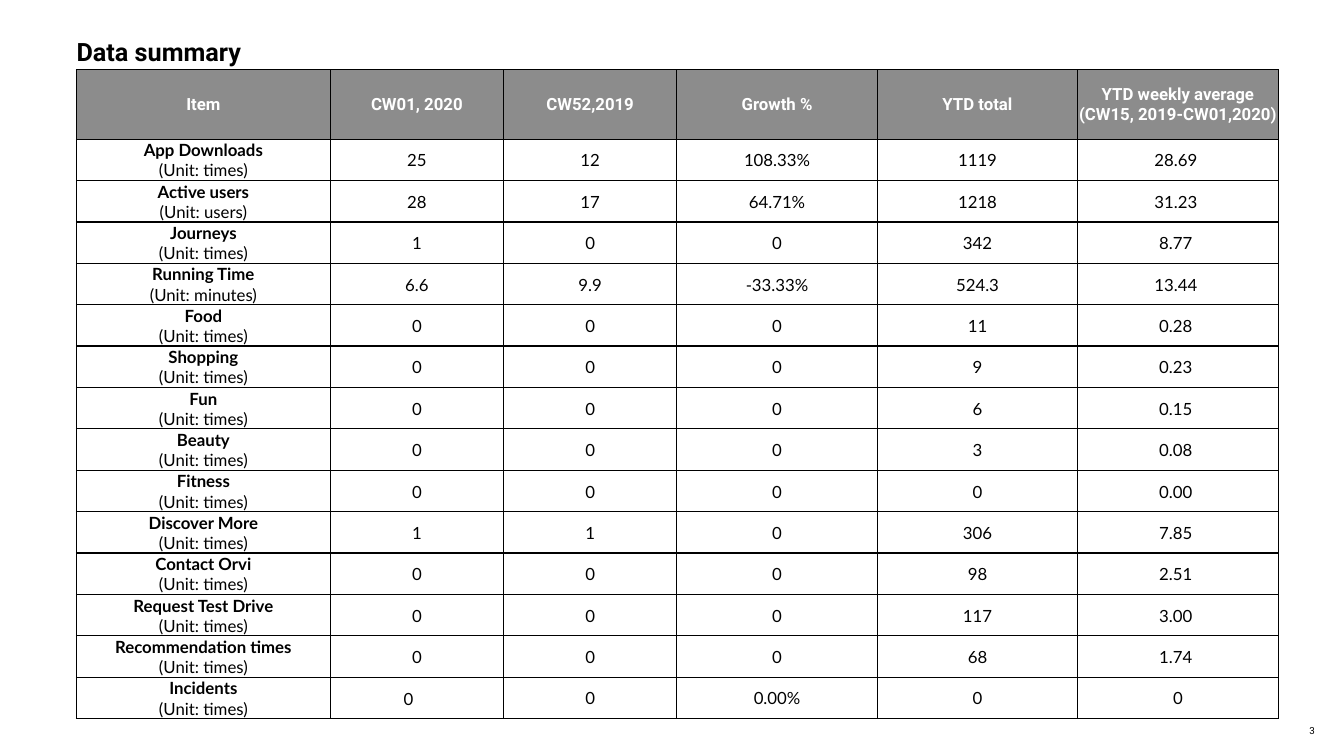
from dataclasses import dataclass

import pptx
import pptx.dml.color
import pptx.enum.text
import pptx.oxml
import pptx.oxml.ns
import pptx.slide
import pptx.table
import pptx.text.text
import pptx.util

Pt = pptx.util.Pt
RGB = pptx.dml.color.RGBColor
MIDDLE = pptx.enum.text.MSO_ANCHOR.MIDDLE
TOP = pptx.enum.text.MSO_ANCHOR.TOP
CENTER = pptx.enum.text.PP_ALIGN.CENTER


@dataclass(frozen=True)
class Theme:
    ink: str = "000000"
    paper: str = "FFFFFF"
    header_fill: str = "8C8C8C"
    heading_font: str = "Roboto"
    body_font: str = "Lato"
    title_size: float = 18
    table_size: float = 12
    page_size: float = 7
    border: float = 1


@dataclass(frozen=True)
class Metric:
    item: str
    values: tuple[str, ...]
    unit: str = "times"


@dataclass(frozen=True)
class Label:
    text: str
    left: float
    top: float
    width: float
    height: float
    size: float
    bold: bool = False
    anchor: pptx.enum.text.MSO_ANCHOR = TOP
    line_spacing: float = 1.0


THEME = Theme()

LABELS = (
    Label("3", 935.3, 515.5, 25.2, 12.2, THEME.page_size, anchor=MIDDLE),
    Label("Data summary", 54.7, 23.8, 892.8, 48.2, THEME.title_size,
          bold=True, line_spacing=1.1),
)

HEADINGS = ("Item", "CW01, 2020", "CW52,2019", "Growth %", "YTD total",
            "YTD weekly average\n(CW15, 2019-CW01,2020)")
METRICS = (
    Metric("App Downloads", ("25", "12", "108.33%", "1119", "28.69 ")),
    Metric("Active users", ("28", "17", "64.71%", "1218", "31.23 "), "users"),
    Metric("Journeys", ("1", "0", "0", "342", "8.77 ")),
    Metric("Running Time", ("6.6", "9.9", "-33.33%", "524.3", "13.44 "), "minutes"),
    Metric("Food", ("0", "0", "0", "11", "0.28 ")),
    Metric("Shopping", ("0", "0", "0", "9", "0.23 ")),
    Metric("Fun", ("0", "0", "0", "6", "0.15 ")),
    Metric("Beauty", ("0", "0", "0", "3", "0.08 ")),
    Metric("Fitness", ("0", "0", "0", "0", "0.00 ")),
    Metric("Discover More", ("1", "1", "0", "306", "7.85 ")),
    Metric("Contact Orvi", ("0", "0", "0", "98", "2.51 ")),
    Metric("Request Test Drive", ("0", "0", "0", "117", "3.00 ")),
    Metric("Recommendation times", ("0", "0", "0", "68", "1.74 ")),
    Metric("Incidents", ("0\u3000", "0", "0.00%", "0", "0")),
)

TABLE_LEFT, TABLE_TOP = 54.7, 49.9
COLUMN_WIDTHS = (181.2, 123.8, 123.8, 143.2, 143.2, 143.2)
HEADER_HEIGHT, METRIC_HEIGHT = 49.5, 29.57
CELL_INSET = 0.7


def style_paragraph(paragraph: pptx.text.text._Paragraph, font_name: str,
                    size: float, color: str, bold: bool) -> None:
    for run in paragraph.runs:
        run.font.name = font_name
        run.font.size = Pt(size)
        run.font.bold = bold
        run.font.color.rgb = RGB.from_string(color)


def add_label(slide: pptx.slide.Slide, label: Label) -> None:
    frame = slide.shapes.add_textbox(Pt(label.left), Pt(label.top), Pt(label.width),
                                     Pt(label.height)).text_frame
    frame.word_wrap = True
    frame.vertical_anchor = label.anchor
    frame.margin_left = frame.margin_right = frame.margin_top = frame.margin_bottom = 0
    frame.text = label.text
    frame.paragraphs[0].line_spacing = label.line_spacing
    style_paragraph(frame.paragraphs[0], THEME.heading_font, label.size,
                    THEME.ink, label.bold)


def add_borders(cell: pptx.table._Cell) -> None:
    properties = cell._tc.get_or_add_tcPr()
    for side in ("lnL", "lnR", "lnT", "lnB"):
        properties.append(pptx.oxml.parse_xml(
            f'<a:{side} {pptx.oxml.ns.nsdecls("a")} w="{Pt(THEME.border)}">'
            f'<a:solidFill><a:srgbClr val="{THEME.ink}"/></a:solidFill></a:{side}>'))


def fill_cell(cell: pptx.table._Cell, text: str, is_header: bool, is_item: bool) -> None:
    add_borders(cell)
    cell.fill.solid()
    cell.fill.fore_color.rgb = RGB.from_string(
        THEME.header_fill if is_header else THEME.paper)
    cell.vertical_anchor = MIDDLE
    cell.margin_left = cell.margin_right = cell.margin_top = Pt(CELL_INSET)
    cell.margin_bottom = 0
    cell.text_frame.text = text
    for index, paragraph in enumerate(cell.text_frame.paragraphs):
        paragraph.alignment = CENTER
        style_paragraph(paragraph,
                        THEME.heading_font if is_header else THEME.body_font,
                        THEME.table_size,
                        THEME.paper if is_header else THEME.ink,
                        is_header or (is_item and index == 0))


def add_summary(slide: pptx.slide.Slide) -> None:
    rows = [HEADINGS] + [(f"{metric.item}\n(Unit: {metric.unit})", *metric.values)
                         for metric in METRICS]
    heights = [HEADER_HEIGHT] + [METRIC_HEIGHT] * len(METRICS)
    summary = slide.shapes.add_table(
        len(rows), len(HEADINGS), Pt(TABLE_LEFT), Pt(TABLE_TOP),
        Pt(sum(COLUMN_WIDTHS)), Pt(sum(heights))).table
    summary.first_row = summary.horz_banding = False
    for column, width in zip(summary.columns, COLUMN_WIDTHS):
        column.width = Pt(width)
    for row_index, (texts, height) in enumerate(zip(rows, heights)):
        summary.rows[row_index].height = Pt(height)
        for column_index, text in enumerate(texts):
            fill_cell(summary.cell(row_index, column_index), text,
                      row_index == 0, column_index == 0)


deck = pptx.Presentation()
deck.slide_width, deck.slide_height = Pt(960), Pt(540)
summary_slide = deck.slides.add_slide(deck.slide_layouts[6])

# Page number and title
for slide_label in LABELS:
    add_label(summary_slide, slide_label)

# Weekly figures
add_summary(summary_slide)

deck.save("out.pptx")
